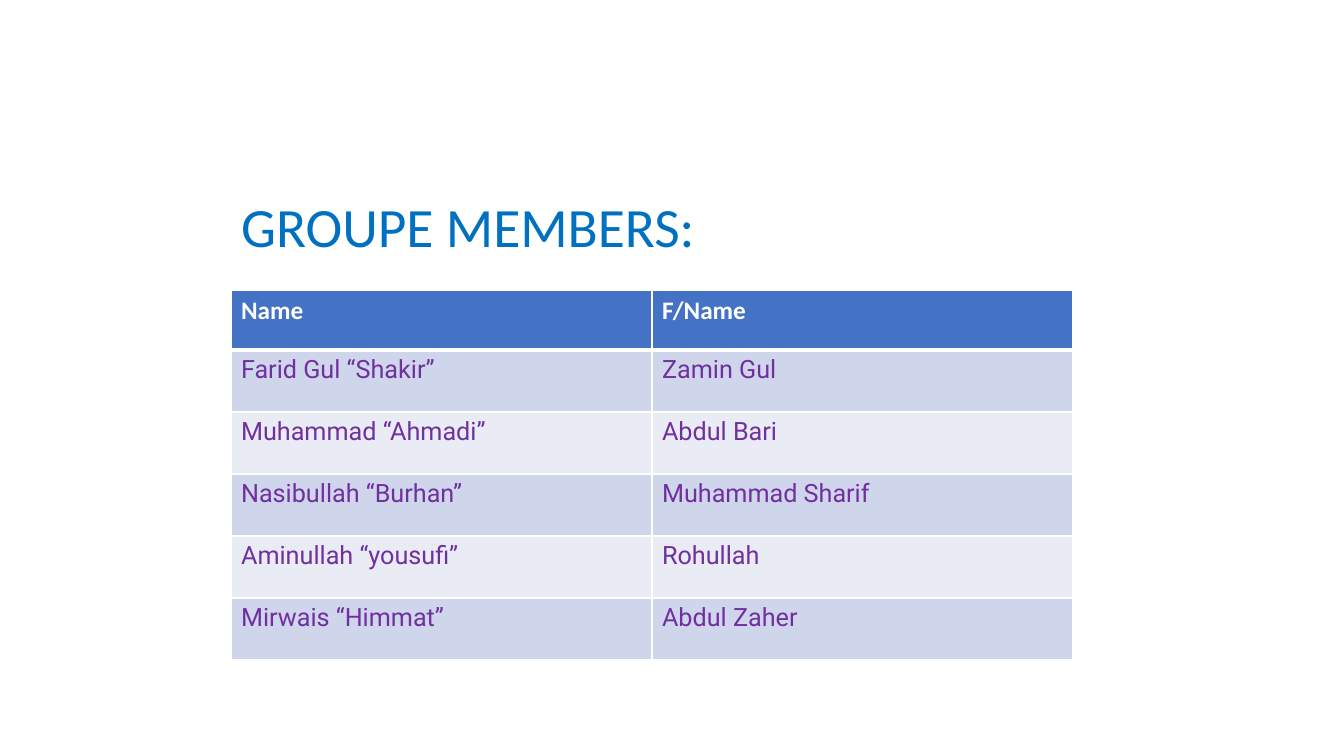
from pptx import Presentation
from pptx.dml.color import RGBColor
from pptx.enum.text import MSO_ANCHOR as Anchor, MSO_AUTO_SIZE as AutoSize, PP_ALIGN as Align
from pptx.oxml import parse_xml
from pptx.oxml.ns import nsdecls
from pptx.util import Emu, Pt

WHITE = RGBColor(0xFF, 0xFF, 0xFF)
TITLE_BLUE = RGBColor(0x00, 0x70, 0xC0)
HEADER_BLUE = RGBColor(0x44, 0x72, 0xC4)
NAME_PURPLE = RGBColor(0x70, 0x30, 0xA0)
BANDS = (RGBColor(0xE9, 0xEB, 0xF5), RGBColor(0xCF, 0xD5, 0xEA))

MEMBERS = [
    ("Name", "F/Name"),
    ("Farid Gul “Shakir”", "Zamin Gul"),
    ("Muhammad “Ahmadi”", "Abdul Bari"),
    ("Nasibullah “Burhan”", "Muhammad Sharif"),
    ("Aminullah “yousufi”", "Rohullah"),
    ("Mirwais “Himmat”", "Abdul Zaher"),
]


def px(length):
    """Turn whole pixels into EMU."""
    return Emu(round(length * 914400 / 100.8))


class SlideBuilder:
    """Draws styled elements on the current slide."""

    title_font = "Calibri"
    name_font = "Roboto"

    def __init__(self, deck):
        """Add a title-only slide to the deck."""
        self.slide = deck.slides.add_slide(deck.slide_layouts[5])

    def style(self, para, font, size, color, bold=False):
        """Format every run of a paragraph."""
        for span in para.runs:
            span.font.name = font
            span.font.size = Pt(size)
            span.font.bold = bold
            span.font.color.rgb = color

    def title(self, text, left, top, width, height, rise):
        """Place the title, raised above the bottom of its box."""
        box = self.slide.shapes.title
        box.left, box.top, box.width, box.height = map(px, (left, top, width, height))
        frame = box.text_frame
        frame.text = text
        frame.word_wrap = True
        frame.auto_size = AutoSize.NONE
        frame.vertical_anchor = Anchor.BOTTOM
        frame.margin_top = 0
        frame.margin_bottom = px(rise)
        para = frame.paragraphs[0]
        para.alignment = Align.LEFT
        para.line_spacing = 0.9
        self.style(para, self.title_font, 39.6, TITLE_BLUE)

    def borders(self, cell, below):
        """Draw white cell borders, with their own width below."""
        properties = cell._tc.get_or_add_tcPr()
        widths = {"lnL": 1, "lnR": 1, "lnT": 1, "lnB": below}
        for position, (side, points) in enumerate(widths.items()):
            line = parse_xml(
                f'<a:{side} {nsdecls("a")} w="{Pt(points)}"><a:solidFill>'
                f'<a:srgbClr val="{WHITE}"/></a:solidFill></a:{side}>'
            )
            properties.insert(position, line)

    def table(self, rows, left, top, width, header_height, row_height):
        """Draw a banded table with a header row."""
        columns = len(rows[0])
        height = header_height + row_height * (len(rows) - 1)
        table = self.slide.shapes.add_table(
            len(rows), columns, px(left), px(top), px(width), px(height)
        ).table
        for column in table.columns:
            column.width = px(width // columns)
        for index, texts in enumerate(rows):
            header = index == 0
            table.rows[index].height = px(header_height if header else row_height)
            for cell, text in zip(table.rows[index].cells, texts):
                cell.text = text
                cell.fill.solid()
                cell.fill.fore_color.rgb = HEADER_BLUE if header else BANDS[index % 2]
                self.borders(cell, 3 if header else 1)
                font = self.title_font if header else self.name_font
                color = WHITE if header else NAME_PURPLE
                self.style(cell.text_frame.paragraphs[0], font, 18, color, header)


def main():
    """Build the group members slide."""
    deck = Presentation()
    deck.slide_width, deck.slide_height = px(1344), px(756)
    page = SlideBuilder(deck)
    page.title("GROUPE MEMBERS:", 231, 233, 643, 57, 30)
    page.table(MEMBERS, 231, 290, 842, 60, 62)
    deck.save("out.pptx")


if __name__ == "__main__":
    main()
